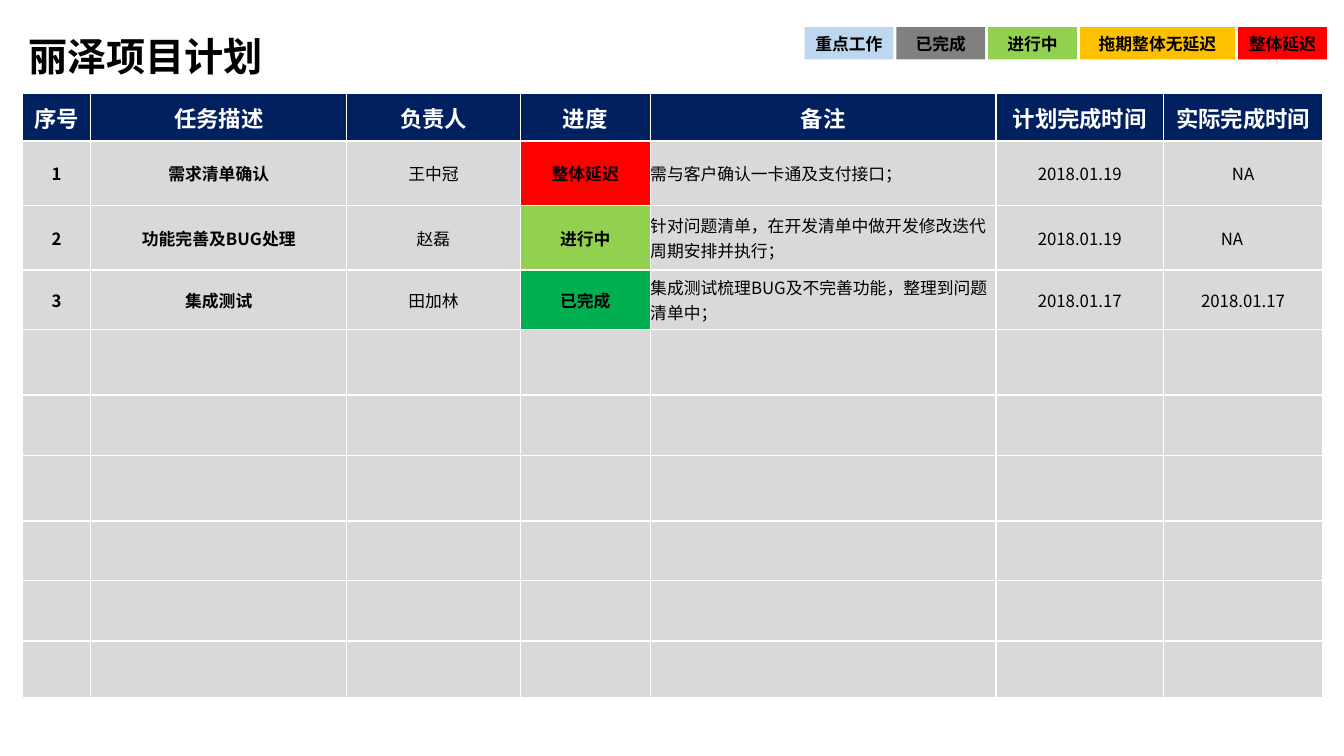
import lxml.etree
import pptx
import pptx.dml.color
import pptx.enum.shapes
import pptx.enum.text
import pptx.oxml.ns
import pptx.util

Inches = pptx.util.Inches
FONT = "Noto Sans CJK SC"
CENTER = pptx.enum.text.PP_ALIGN.CENTER
LEFT = pptx.enum.text.PP_ALIGN.LEFT
MIDDLE = pptx.enum.text.MSO_ANCHOR.MIDDLE
qualified = pptx.oxml.ns.qn


def paint(fill, color):
    fill.solid()
    fill.fore_color.rgb = pptx.dml.color.RGBColor.from_string(color)


def write(paragraph, text, size, color="000000", bold=True, align=CENTER):
    """Add one run in the slide font, for Latin and Chinese characters alike."""
    paragraph.alignment = align
    run = paragraph.add_run()
    run.text = text
    run.font.name = FONT
    run.font.size = pptx.util.Pt(size)
    run.font.bold = bold
    paint(run.font.fill, color)
    east_asian = lxml.etree.Element(qualified("a:ea"), typeface=FONT)
    run.font._element.find(qualified("a:latin")).addnext(east_asian)


presentation = pptx.Presentation()
presentation.slide_width = Inches(13.33)
presentation.slide_height = Inches(7.5)
slide = presentation.slides.add_slide(presentation.slide_layouts[5])
paint(slide.background.fill, "FFFFFF")

# Title
title = slide.shapes.title
title.left, title.top = Inches(0.18), Inches(0.23)
title.width, title.height = Inches(11.5), Inches(0.7)
title.text_frame.vertical_anchor = MIDDLE
title.text_frame.paragraphs[0].line_spacing = 0.9
write(title.text_frame.paragraphs[0], "丽泽项目计划", 28, align=LEFT)

# Task table
headings = ["序号", "任务描述", "负责人", "进度", "备注", "计划完成时间", "实际完成时间"]
tasks = [
    ["1", "需求清单确认", "王中冠", "整体延迟", "需与客户确认一卡通及支付接口；",
     "2018.01.19", "NA"],
    ["2", "功能完善及BUG处理", "赵磊", "进行中",
     "针对问题清单，在开发清单中做开发修改迭代周期安排并执行；", "2018.01.19", "NA"],
    ["3", "集成测试", "田加林", "已完成",
     "集成测试梳理BUG及不完善功能，整理到问题清单中；", "2018.01.17", "2018.01.17"],
]
status_colors = {"整体延迟": "FF0000", "进行中": "92D050", "已完成": "00B050"}
column_widths = [0.68, 2.54, 1.72, 1.29, 3.43, 1.66, 1.58]
row_heights = [0.47, 0.64, 0.64, 0.59, 0.65, 0.6, 0.65, 0.59, 0.6, 0.56]
NOTE_COLUMN = headings.index("备注")
BOLD_COLUMNS = [headings.index(name) for name in ("序号", "任务描述", "进度")]

table = slide.shapes.add_table(
    len(row_heights), len(column_widths), Inches(0.22), Inches(0.93),
    Inches(sum(column_widths)), Inches(sum(row_heights))).table
for column, width in zip(table.columns, column_widths):
    column.width = Inches(width)
for row, height in zip(table.rows, row_heights):
    row.height = Inches(height)

empty_rows = [[""] * len(headings)] * (len(row_heights) - 1 - len(tasks))
for row_index, texts in enumerate([headings] + tasks + empty_rows):
    for column_index, text in enumerate(texts):
        cell = table.cell(row_index, column_index)
        cell.vertical_anchor = MIDDLE
        cell.margin_left = cell.margin_right = cell.margin_top = cell.margin_bottom = 0
        for side in ("a:lnL", "a:lnR", "a:lnT", "a:lnB"):
            border = lxml.etree.SubElement(
                cell._tc.get_or_add_tcPr(), qualified(side), w=str(pptx.util.Pt(1)))
            border_fill = lxml.etree.SubElement(border, qualified("a:solidFill"))
            lxml.etree.SubElement(border_fill, qualified("a:srgbClr"), val="FFFFFF")
        paragraph = cell.text_frame.paragraphs[0]
        if row_index == 0:
            paint(cell.fill, "002060")
            write(paragraph, text, 16, "FFFFFF")
        else:
            paint(cell.fill, status_colors.get(text, "D9D9D9"))
            if text:
                write(paragraph, text, 12, bold=column_index in BOLD_COLUMNS,
                      align=LEFT if column_index == NOTE_COLUMN else CENTER)

# The second task's "NA" sits a little left of centre
table.cell(2, 6).margin_right = Inches(0.22)

# Status legend
legend = [
    ("重点工作", "BDD7EE", 0.88),
    ("已完成", "808080", 0.88),
    ("进行中", "92D050", 0.88),
    ("拖期整体无延迟", "FFC000", 1.54),
    ("整体延迟", "FF0000", 0.88),
]
LEGEND_GAP = 0.03
legend_left = 7.98
for label, color, width in legend:
    shape = slide.shapes.add_shape(
        pptx.enum.shapes.MSO_SHAPE.RECTANGLE,
        Inches(legend_left), Inches(0.27), Inches(width), Inches(0.32))
    shape.shadow.inherit = False
    paint(shape.fill, color)
    shape.line.fill.background()
    frame = shape.text_frame
    frame.margin_left = frame.margin_right = 0
    frame.vertical_anchor = MIDDLE
    write(frame.paragraphs[0], label, 12)
    legend_left += width + LEGEND_GAP

presentation.save("out.pptx")
